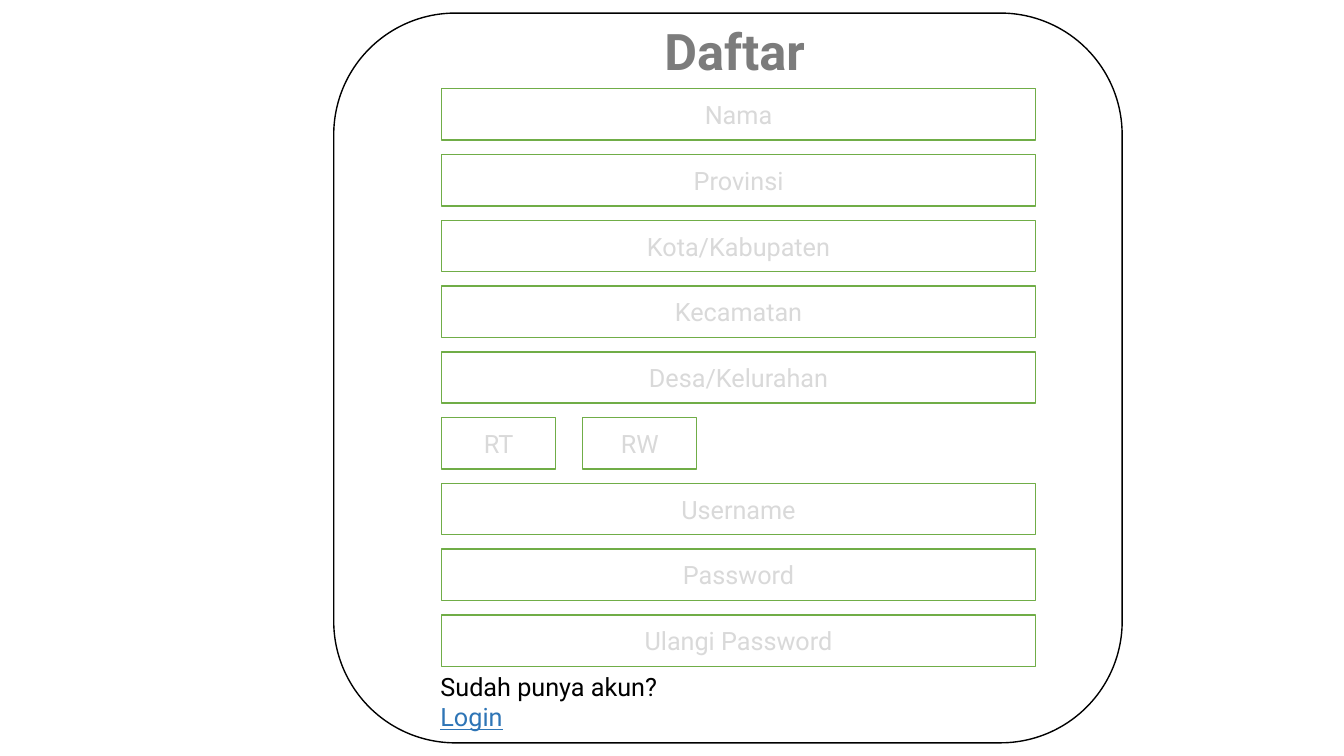
from dataclasses import dataclass

from pptx import Presentation
from pptx.dml.color import RGBColor
from pptx.enum.shapes import MSO_SHAPE
from pptx.enum.text import MSO_ANCHOR, MSO_AUTO_SIZE, PP_ALIGN
from pptx.shapes.autoshape import Shape
from pptx.slide import Slide
from pptx.text.text import _Paragraph
from pptx.util import Inches, Pt

RECT, ROUND_RECT = MSO_SHAPE.RECTANGLE, MSO_SHAPE.ROUNDED_RECTANGLE
TOP, MIDDLE = MSO_ANCHOR.TOP, MSO_ANCHOR.MIDDLE
LEFT, CENTER = PP_ALIGN.LEFT, PP_ALIGN.CENTER
GROW = MSO_AUTO_SIZE.SHAPE_TO_FIT_TEXT

FONT = "Roboto"
COLORS = {
    "white": "FFFFFF",
    "outline": "000000",
    "field": "70AD47",
    "hint": "D9D9D9",
    "title": "7C7C7C",
    "text": "000000",
    "login": "2E75B6",
}

FIELD_LEFT, FIELD_TOP = 4.38, 0.88
FIELD_WIDTH, FIELD_HEIGHT = 5.89, 0.51
SHORT_WIDTH, SHORT_STEP = 1.13, 1.4
ROW_STEP = (6.1 - FIELD_TOP) / 8


@dataclass
class Field:
    label: str
    row: int
    column: int = 0
    width: float = FIELD_WIDTH


FIELDS = [
    Field("Nama", 0),
    Field("Provinsi", 1),
    Field("Kota/Kabupaten", 2),
    Field("Kecamatan", 3),
    Field("Desa/Kelurahan", 4),
    Field("RT", 5, 0, SHORT_WIDTH),
    Field("RW", 5, 1, SHORT_WIDTH),
    Field("Username", 6),
    Field("Password", 7),
    Field("Ulangi Password", 8),
]


def rgb(name: str) -> RGBColor:
    return RGBColor.from_string(COLORS[name])


def add_run(p: _Paragraph, text: str, color: str, size: int = 18,
            bold: bool = False, underline: bool = False) -> None:
    r = p.add_run()
    r.text = text
    r.font.name = FONT
    r.font.size = Pt(size)
    r.font.bold = bold
    r.font.underline = underline
    r.font.color.rgb = rgb(color)


def add_box(s: Slide, kind: MSO_SHAPE, left: float, top: float,
            width: float, height: float, line: str) -> Shape:
    sp = s.shapes.add_shape(kind, Inches(left), Inches(top), Inches(width), Inches(height))
    sp.shadow.inherit = False
    sp.fill.solid()
    sp.fill.fore_color.rgb = rgb("white")
    sp.line.color.rgb = rgb(line)
    sp.line.width = Pt(1)
    return sp


def add_field(s: Slide, field: Field) -> None:
    sp = add_box(s, RECT, FIELD_LEFT + field.column * SHORT_STEP,
                 FIELD_TOP + field.row * ROW_STEP, field.width, FIELD_HEIGHT, "field")
    tf = sp.text_frame
    tf.vertical_anchor = MIDDLE
    p = tf.paragraphs[0]
    p.alignment = CENTER
    add_run(p, field.label, "hint")


def add_title(s: Slide) -> None:
    sp = s.shapes.title
    sp.left, sp.top = Inches(6.49), Inches(0.15)
    sp.width, sp.height = Inches(1.93), Inches(0.71)
    tf = sp.text_frame
    tf.word_wrap = True
    tf.auto_size = GROW
    tf.vertical_anchor = TOP
    p = tf.paragraphs[0]
    p.alignment = LEFT
    add_run(p, "Daftar", "title", 36, bold=True)
    s.shapes.element.append(sp.element)


def add_login(s: Slide) -> None:
    sp = s.shapes.add_textbox(Inches(4.27), Inches(6.61), Inches(3.02), Inches(0.4))
    tf = sp.text_frame
    tf.word_wrap = True
    tf.auto_size = GROW
    p = tf.paragraphs[0]
    add_run(p, "Sudah punya akun?", "text")
    p.add_line_break()
    add_run(p, "Login", "login", underline=True)


def main() -> None:
    prs = Presentation()
    prs.slide_width, prs.slide_height = Inches(13.33), Inches(7.5)
    s = prs.slides.add_slide(prs.slide_layouts[5])
    add_box(s, ROUND_RECT, 3.31, 0.13, 7.82, 7.24, "outline")
    for field in FIELDS:
        add_field(s, field)
    add_title(s)
    add_login(s)
    prs.save("out.pptx")


if __name__ == "__main__":
    main()
